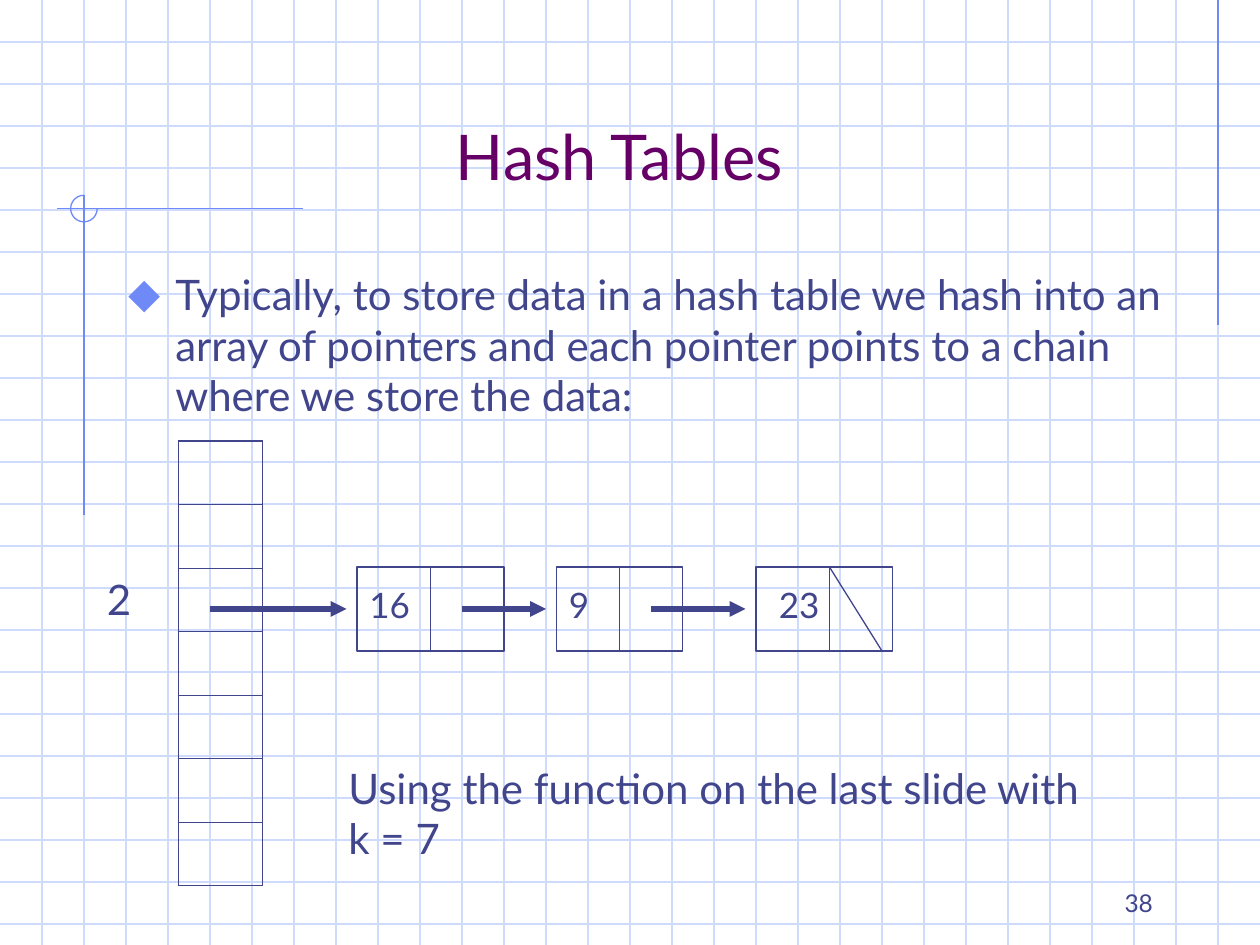
from lxml import etree
from pptx import Presentation
from pptx.dml.color import RGBColor
from pptx.enum.shapes import MSO_CONNECTOR, MSO_SHAPE
from pptx.enum.text import MSO_ANCHOR, MSO_AUTO_SIZE, PP_ALIGN
from pptx.oxml.ns import qn
from pptx.util import Pt

STRAIGHT = MSO_CONNECTOR.STRAIGHT
RECTANGLE, ARC = MSO_SHAPE.RECTANGLE, MSO_SHAPE.ARC
TOP, BOTTOM = MSO_ANCHOR.TOP, MSO_ANCHOR.BOTTOM
LEFT, CENTER, RIGHT = PP_ALIGN.LEFT, PP_ALIGN.CENTER, PP_ALIGN.RIGHT
NO_AUTOFIT = MSO_AUTO_SIZE.NONE

FONT = "Lato"
COLORS = {"ink": "40458C", "title": "660066", "accent": "6F89F7", "grid": "CFDBFD"}
SLIDE_WIDTH, SLIDE_HEIGHT = 720, 540
GRID_STEP = 24
NODE_TOP, NODE_HEIGHT = 324, 48
# left, width, divider x, label left, value
NODES = [
    (204, 84, 246, 204, "16"),
    (318, 72, 354, 318, "9"),
    (432, 78, 474, 438, "23"),
]
POINTERS = [(120, 198), (264, 312), (372, 426)]


def add_element(parent, tag, **attributes):
    return etree.SubElement(parent, qn(tag), attributes)


class SlideBuilder:
    """Draws styled elements on one slide; all lengths are points."""

    def __init__(self, slide):
        self.slide = slide
        self.shapes = slide.shapes

    def color(self, name):
        return RGBColor.from_string(COLORS[name])

    def outline(self, shape, color, width):
        shape.line.color.rgb = self.color(color)
        shape.line.width = Pt(width)

    def line(self, x1, y1, x2, y2, color="ink", width=0.75, arrow=False):
        connector = self.shapes.add_connector(STRAIGHT, Pt(x1), Pt(y1), Pt(x2), Pt(y2))
        self.outline(connector, color, width)
        properties = connector._element.spPr
        if arrow:
            add_element(properties.find(qn("a:ln")), "a:tailEnd", type="triangle")
        add_element(properties, "a:effectLst")

    def shape(self, kind, left, top, width, height, color="ink"):
        shape = self.shapes.add_shape(kind, Pt(left), Pt(top), Pt(width), Pt(height))
        shape.shadow.inherit = False
        shape.fill.background()
        self.outline(shape, color, 0.75)
        return shape

    def set_text(self, shape, text, size, color="ink", align=LEFT, anchor=TOP, bullet=None):
        frame = shape.text_frame
        frame.word_wrap = True
        frame.auto_size = NO_AUTOFIT
        frame.vertical_anchor = anchor
        frame.text = text
        paragraph = frame.paragraphs[0]
        paragraph.alignment = align
        paragraph.space_before = Pt(0)
        if bullet:
            self.bullet(paragraph, bullet)
        font = paragraph.font
        font.name, font.size = FONT, Pt(size)
        font.color.rgb = self.color(color)

    def bullet(self, paragraph, character):
        properties = paragraph._p.get_or_add_pPr()
        properties.set("marL", str(Pt(27)))
        properties.set("indent", str(Pt(-27)))
        bullet_color = add_element(properties, "a:buClr")
        add_element(bullet_color, "a:srgbClr", val=COLORS["accent"])
        add_element(properties, "a:buSzPct", val="110000")
        add_element(properties, "a:buChar", char=character)

    def text(self, left, top, width, height, text, size, **style):
        box = self.shapes.add_textbox(Pt(left), Pt(top), Pt(width), Pt(height))
        self.set_text(box, text, size, **style)

    def placeholder(self, index, left, top, width, height, text, size, **style):
        """Fill a template placeholder and bring it in front of the background."""
        shape = self.slide.placeholders[index]
        shape.left, shape.top = Pt(left), Pt(top)
        shape.width, shape.height = Pt(width), Pt(height)
        self.set_text(shape, text, size, **style)
        self.shapes._spTree.append(shape._element)

    def bucket_array(self, left, top, width, row_height, count):
        frame = self.shapes.add_table(
            count, 1, Pt(left), Pt(top), Pt(width), Pt(row_height * count)
        )
        table = frame.table
        table.first_row = table.horz_banding = False
        for index, row in enumerate(table.rows):
            row.height = Pt(row_height)
            cell = row.cells[0]
            top_width = 1.08 if index == 0 else 0.45
            bottom_width = 1.08 if index == count - 1 else 0.45
            borders = {"L": 1.08, "R": 1.08, "T": top_width, "B": bottom_width}
            for side, border_width in borders.items():
                self.border(cell, side, border_width)
            cell.fill.background()

    def border(self, cell, side, width):
        properties = cell._tc.get_or_add_tcPr()
        border = add_element(properties, f"a:ln{side}", w=str(Pt(width)))
        fill = add_element(border, "a:solidFill")
        add_element(fill, "a:srgbClr", val=COLORS["ink"])

    def background(self):
        for y in range(GRID_STEP, SLIDE_HEIGHT, GRID_STEP):
            self.line(0, y, SLIDE_WIDTH, y, "grid")
        for x in range(GRID_STEP, SLIDE_WIDTH, GRID_STEP):
            self.line(x, 0, x, SLIDE_HEIGHT, "grid")
        self.line(696, 0, 696, 186, "accent")
        self.line(173, 119.2, 32.5, 119.2, "accent")
        self.line(48, 111.6, 48, 294.5, "accent")
        arc = self.shape(ARC, 40.4, 111.6, 15.2, 15.2, "accent")
        arc.adjustments[0] = 0
        arc.adjustments[1] = 162  # 270 degrees, in 100000 / 60000 units

    def node(self, left, width, divider, label_left, value):
        self.shape(RECTANGLE, left, NODE_TOP, width, NODE_HEIGHT)
        self.line(divider, NODE_TOP, divider, NODE_TOP + NODE_HEIGHT)
        self.text(label_left, 330, 66, 32, value, 20)


def main():
    presentation = Presentation()
    presentation.slide_width, presentation.slide_height = Pt(SLIDE_WIDTH), Pt(SLIDE_HEIGHT)
    builder = SlideBuilder(presentation.slides.add_slide(presentation.slide_layouts[1]))

    builder.background()
    builder.placeholder(0, 48, 24, 612, 90, "Hash Tables", 36,
                        color="title", align=CENTER, anchor=BOTTOM)
    builder.placeholder(
        1, 66, 150, 618, 324,
        "Typically, to store data in a hash table we hash into an array of pointers "
        "and each pointer points to a chain where we store the data:",
        24, bullet="⬥")

    builder.bucket_array(102, 252, 48, 36.3, 7)
    for node in NODES:
        builder.node(*node)
    for start, end in POINTERS:
        middle = NODE_TOP + NODE_HEIGHT / 2
        builder.line(start, middle, end, middle, width=3, arrow=True)
    builder.line(474, NODE_TOP, 504, NODE_TOP + NODE_HEIGHT)  # null pointer

    builder.text(54, 324, 42, 36, "2", 24)
    builder.text(192, 432, 444, 65, "Using the function on the last slide with k = 7", 24)
    builder.text(516, 492, 150, 36, "38", 14, align=RIGHT, anchor=BOTTOM)
    presentation.save("out.pptx")


if __name__ == "__main__":
    main()
